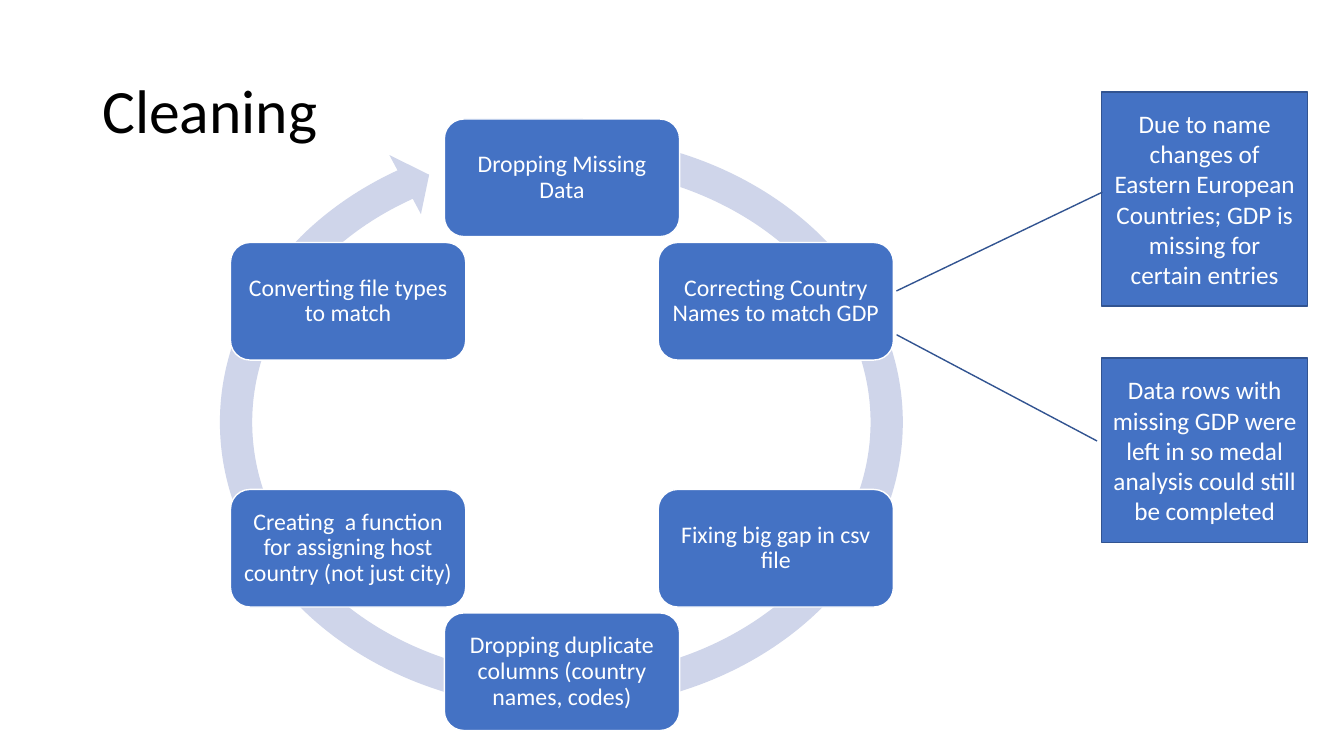
from math import cos, radians, sin

from pptx import Presentation
from pptx.dml.color import RGBColor
from pptx.enum.shapes import MSO_SHAPE
from pptx.enum.text import MSO_ANCHOR, PP_ALIGN
from pptx.util import Pt

COLORS = {
    "title": "000000",
    "ring": "CFD5EA",
    "box": "4472C4",
    "box_text": "FFFFFF",
    "step_edge": "FFFFFF",
    "note_edge": "325491",
}
FONT = "Calibri"

# Cycle geometry, in points
CENTER_X, CENTER_Y, RADIUS = 401.4, 303.4, 176.4
STEP_WIDTH, STEP_HEIGHT = 168, 84

STEPS = [
    "Dropping Missing Data",
    "Correcting Country Names to match GDP",
    "Fixing big gap in csv file",
    "Dropping duplicate columns (country names, codes)",
    "Creating  a function for assigning host country (not just city)",
    "Converting file types to match",
]

# Text, top, height, and leader line (y1, x1, y2, x2) in percent of the note
NOTES = [
    ("Due to name changes of Eastern European Countries; "
     "GDP is missing for certain entries",
     65.8, 152.8, (46.8, 0.3, 93, -99.8)),
    ("Data rows with missing GDP were left in so medal analysis "
     "could still be completed",
     255.6, 132, (45, -2.3, -12.5, -99.7)),
]


def write(shape, text, size, color, align):
    frame = shape.text_frame
    frame.word_wrap = True
    frame.vertical_anchor = MSO_ANCHOR.MIDDLE
    paragraph = frame.paragraphs[0]
    paragraph.text = text
    paragraph.alignment = align
    paragraph.font.name = FONT
    paragraph.font.size = Pt(size)
    paragraph.font.color.rgb = RGBColor.from_string(COLORS[color])
    return paragraph


def add_filled(slide, preset, left, top, width, height, fill, edge=None):
    shape = slide.shapes.add_shape(
        preset, Pt(left), Pt(top), Pt(width), Pt(height))
    shape.shadow.inherit = False
    shape.fill.solid()
    shape.fill.fore_color.rgb = RGBColor.from_string(COLORS[fill])
    if edge:
        shape.line.color.rgb = RGBColor.from_string(COLORS[edge])
        shape.line.width = Pt(1)
    else:
        shape.line.fill.background()
    return shape


def add_title(slide, text):
    title = slide.shapes.add_textbox(Pt(66), Pt(28.8), Pt(828), Pt(104.4))
    write(title, text, 44, "title", PP_ALIGN.LEFT).line_spacing = 0.9


def add_ring(slide):
    ring = add_filled(slide, MSO_SHAPE.CIRCULAR_ARROW,
                      144.7, 84.2, 512.6, 434.9, "ring")
    # Angles are in degrees; one degree is 0.6 adjustment units
    head_angle, end_angle, start_angle = 5.21, 236.68, 285.72
    ring.adjustments[0] = 5.3 / 100
    for index, angle in enumerate((head_angle, end_angle, start_angle), 1):
        ring.adjustments[index] = angle * 0.6
    ring.adjustments[4] = 5.5 / 100


def add_step(slide, text, angle):
    left = CENTER_X + RADIUS * sin(angle) - STEP_WIDTH / 2
    top = CENTER_Y - RADIUS * cos(angle) - STEP_HEIGHT / 2
    step = add_filled(slide, MSO_SHAPE.ROUNDED_RECTANGLE, left, top,
                      STEP_WIDTH, STEP_HEIGHT, "box", "step_edge")
    frame = step.text_frame
    frame.margin_left = frame.margin_right = Pt(5)
    frame.margin_top = frame.margin_bottom = Pt(5)
    label = write(step, text, 17, "box_text", PP_ALIGN.CENTER)
    label.line_spacing = 0.9
    label.space_after = Pt(6)


def add_note(slide, text, top, height, leader):
    note = add_filled(slide, MSO_SHAPE.LINE_CALLOUT_1, 787, top, 147, height,
                      "box", "note_edge")
    for index, percent in enumerate(leader):
        note.adjustments[index] = percent / 100
    write(note, text, 18, "box_text", PP_ALIGN.CENTER)


def main():
    deck = Presentation()
    deck.slide_width, deck.slide_height = Pt(960), Pt(540)
    slide = deck.slides.add_slide(deck.slide_layouts[6])

    add_title(slide, "Cleaning")

    # Cycle of cleaning steps, clockwise from the top
    add_ring(slide)
    for index, text in enumerate(STEPS):
        add_step(slide, text, radians(index * 360 / len(STEPS)))

    # Notes on correcting country names
    for note in NOTES:
        add_note(slide, *note)

    deck.save("out.pptx")


main()
